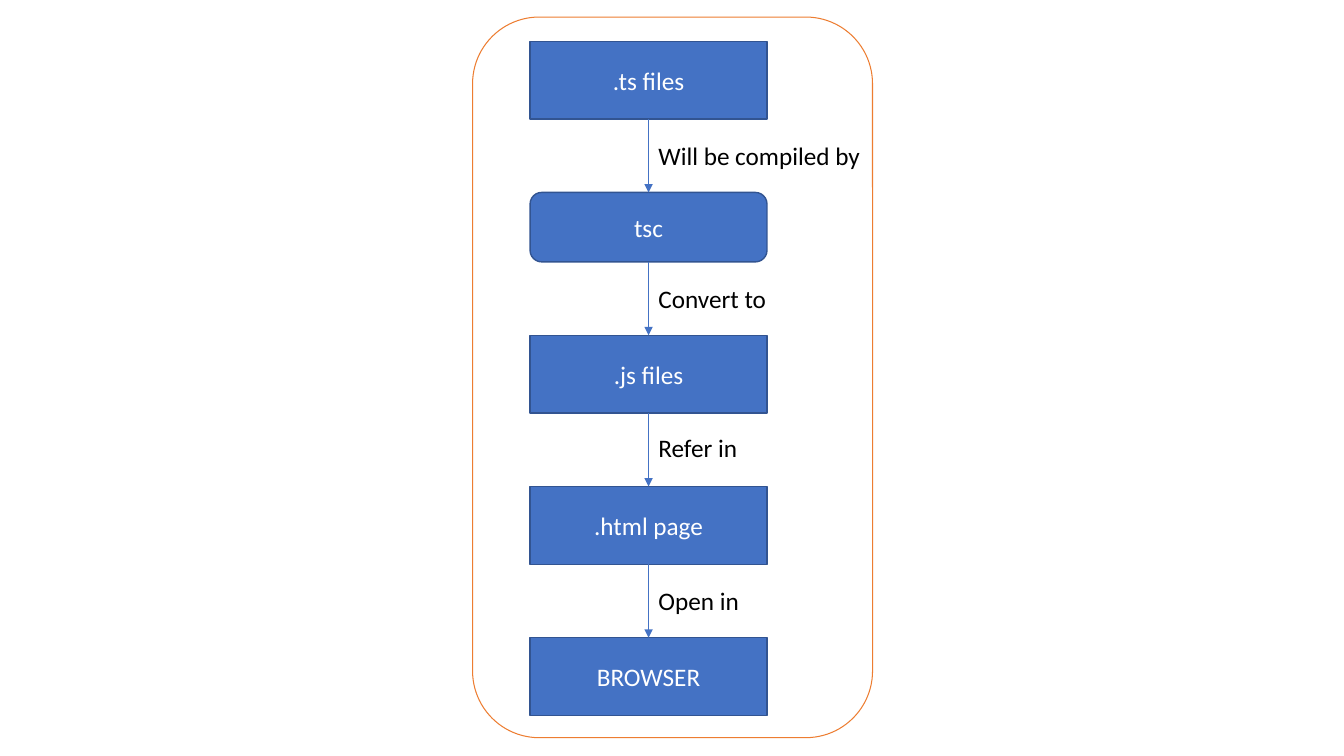
"""Build a slide with the flow from .ts files to the browser."""
from lxml.etree import SubElement
from pptx import Presentation
from pptx.dml.color import RGBColor
from pptx.enum.shapes import MSO_CONNECTOR as Line, MSO_SHAPE as Shape
from pptx.enum.text import MSO_ANCHOR as Anchor, MSO_AUTO_SIZE as Fit, PP_ALIGN as Align
from pptx.oxml.ns import qn
from pptx.util import Cm, Pt

BLUE = RGBColor(0x44, 0x72, 0xC4)
NAVY = RGBColor(0x32, 0x54, 0x91)
ORANGE = RGBColor(0xED, 0x7D, 0x31)
WHITE = RGBColor(0xFF, 0xFF, 0xFF)
BLACK = RGBColor(0x00, 0x00, 0x00)

LEFT, TOP, WIDTH, GAP = 13.36, 1.04, 5.97, 1.85
AXIS = LEFT + WIDTH / 2
STEPS = [
    (".ts files", Shape.RECTANGLE, 1.96),
    ("tsc", Shape.ROUNDED_RECTANGLE, 1.75),
    (".js files", Shape.RECTANGLE, 1.96),
    (".html page", Shape.RECTANGLE, 1.96),
    ("BROWSER", Shape.RECTANGLE, 1.96),
]
LINKS = [
    ("Will be compiled by", 5.66, 0.41),
    ("Convert to", 3.25, 0.41),
    ("Refer in", 2.51, 0.36),
    ("Open in", 2.57, 0.41),
]


def write(shape, text, color):
    shape.text_frame.text = text
    font = shape.text_frame.paragraphs[0].runs[0].font
    font.name, font.size, font.color.rgb = "Calibri", Pt(18), color


deck = Presentation()
deck.slide_width, deck.slide_height = Cm(33.87), Cm(19.05)
shapes = deck.slides.add_slide(deck.slide_layouts[6]).shapes

boxes = []
ends = []
top = TOP
for text, kind, height in STEPS:
    box = shapes.add_shape(kind, Cm(LEFT), Cm(top), Cm(WIDTH), Cm(height))
    box.shadow.inherit = False
    box.fill.solid()
    box.fill.fore_color.rgb = BLUE
    box.line.color.rgb = NAVY
    box.line.width = Pt(1)
    write(box, text, WHITE)
    box.text_frame.vertical_anchor = Anchor.MIDDLE
    box.text_frame.paragraphs[0].alignment = Align.CENTER
    boxes.append(box)
    ends.append(top + height)
    top += height + GAP

for (text, width, drop), start, stop, end in zip(LINKS, boxes, boxes[1:], ends):
    arrow = shapes.add_connector(Line.STRAIGHT, Cm(AXIS), Cm(end), Cm(AXIS), Cm(end + GAP))
    arrow.begin_connect(start, 2)
    arrow.end_connect(stop, 0)
    arrow.line.color.rgb = BLUE
    arrow.line.width = Pt(0.5)
    SubElement(arrow.line._get_or_add_ln(), qn("a:tailEnd"), type="triangle")
    SubElement(arrow._element.spPr, qn("a:effectLst"))

    label = shapes.add_textbox(Cm(AXIS), Cm(end + drop), Cm(width), Cm(1.02))
    write(label, text, BLACK)
    label.text_frame.word_wrap = False
    label.text_frame.auto_size = Fit.SHAPE_TO_FIT_TEXT

frame = shapes.add_shape(Shape.ROUNDED_RECTANGLE, Cm(11.91), Cm(0.43), Cm(10.08), Cm(18.16))
frame.shadow.inherit = False
frame.fill.background()
frame.line.color.rgb = ORANGE
frame.line.width = Pt(0.75)

deck.save("out.pptx")
